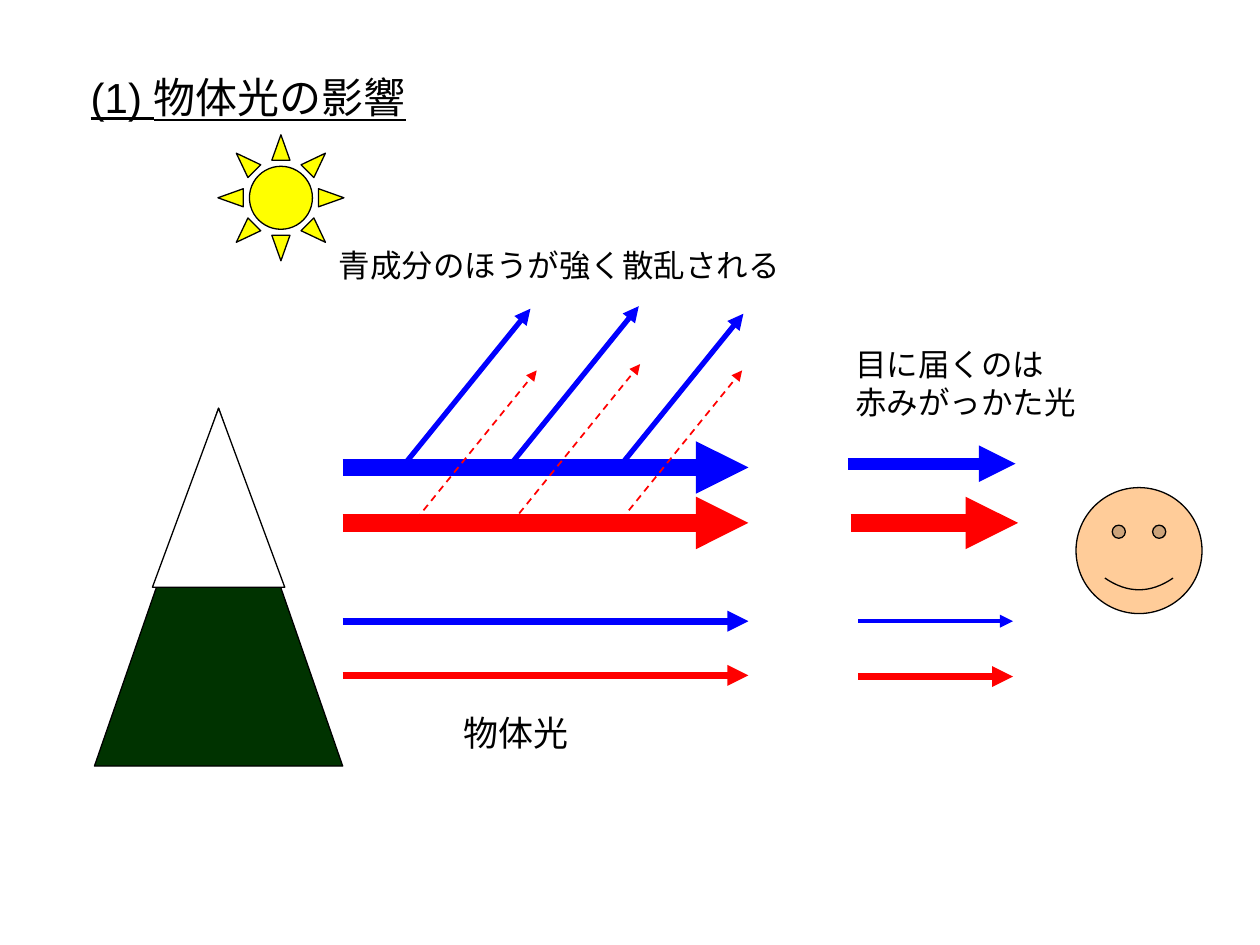
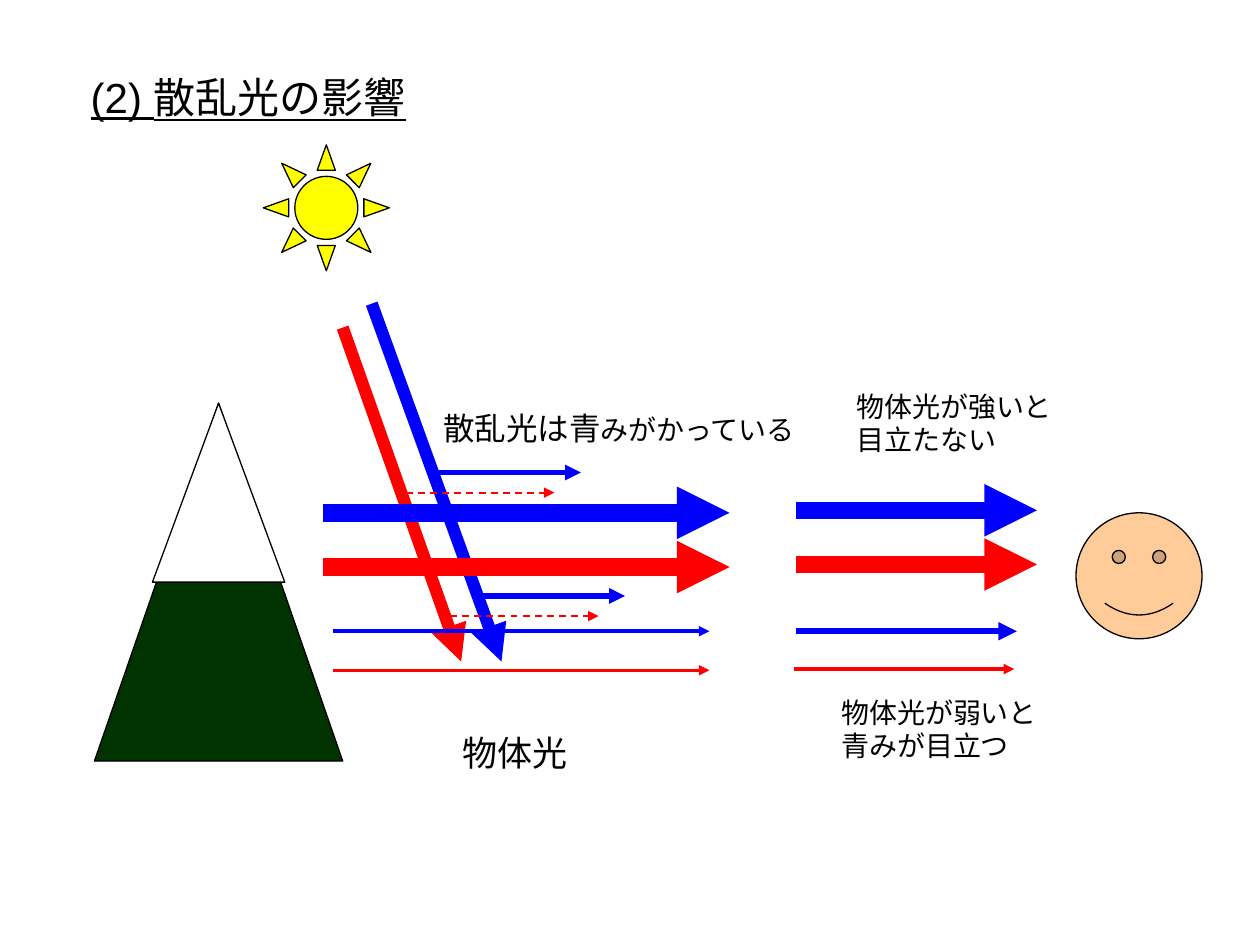
from lxml import etree
from pptx import Presentation
from pptx.dml.color import RGBColor
from pptx.enum import dml, shapes, text
from pptx.oxml import ns
from pptx.util import Inches, Pt

COLORS = {
    "ink": "000000", "blue": "0000FF", "red": "FF0000", "sun": "FFFF00",
    "skin": "FFCC99", "wood": "003300", "snow": "FFFFFF",
}
FONT = "Arial"
SHAPE = shapes.MSO_SHAPE


def color(name):
    return RGBColor.from_string(COLORS[name])


def write(par, words, size=18, under=None):
    """Add one formatted run to a paragraph."""
    run = par.add_run()
    run.text = words
    font = run.font
    font.name, font.size, font.underline = FONT, Pt(size), under
    font.color.rgb = color("ink")


class Scene:
    def __init__(self, deck):
        self.deck = deck
        self.slide = None

    def start(self, title):
        self.slide = self.deck.slides.add_slide(self.deck.slide_layouts[5])
        head = self.slide.shapes.title
        head.left, head.top = Inches(0.62), Inches(0.52)
        head.width, head.height = Inches(3), Inches(0.5)
        self.fill_text(head.text_frame, [[(title, 24)]], under=True)

    def fill_text(self, frame, lines, under=None):
        frame.word_wrap = False
        frame.auto_size = text.MSO_AUTO_SIZE.NONE
        frame.vertical_anchor = text.MSO_ANCHOR.TOP
        for i, line in enumerate(lines):
            par = frame.add_paragraph() if i else frame.paragraphs[0]
            par.alignment = text.PP_ALIGN.LEFT
            for words, size in line:
                write(par, words, size=size, under=under)

    def label(self, x, y, w, h, *lines):
        box = self.slide.shapes.add_textbox(
            Inches(x), Inches(y), Inches(w), Inches(h))
        self.fill_text(box.text_frame, lines)

    def shape(self, kind, x, y, w, h, fill):
        item = self.slide.shapes.add_shape(
            kind, Inches(x), Inches(y), Inches(w), Inches(h))
        item.shadow.inherit = False
        item.fill.solid()
        item.fill.fore_color.rgb = color(fill)
        item.line.color.rgb = color("ink")
        item.line.width = Pt(0.75)

    def arrow(self, x1, y1, x2, y2, hue, width, dash=False):
        item = self.slide.shapes.add_connector(
            shapes.MSO_CONNECTOR.STRAIGHT,
            Inches(x1), Inches(y1), Inches(x2), Inches(y2))
        line = item.line
        line.color.rgb = color(hue)
        line.width = Pt(width)
        if dash:
            line.dash_style = dml.MSO_LINE.DASH
        tip = etree.SubElement(line._get_or_add_ln(), ns.qn("a:tailEnd"))
        tip.set("type", "triangle")
        etree.SubElement(item._element.spPr, ns.qn("a:effectLst"))

    def beam(self, x1, x2, y, hue, width, dash=False):
        self.arrow(x1, y, x2, y, hue, width, dash)

    def pair(self, x1, x2, y, gap, width):
        """Blue beam with a red one below it."""
        self.beam(x1, x2, y, "blue", width)
        self.beam(x1, x2, y + gap, "red", width)

    def mountain(self, y):
        self.shape(SHAPE.ISOSCELES_TRIANGLE, 0.75, y, 1.97, 2.84, "wood")
        self.shape(SHAPE.ISOSCELES_TRIANGLE, 1.21, y, 1.05, 1.42, "snow")

    def viewer(self, y):
        self.shape(SHAPE.SMILEY_FACE, 8.54, y, 1, 1, "skin")

    def sun(self, x, y):
        self.shape(SHAPE.SUN, x, y, 1, 1, "sun")


def object_light(scene):
    scene.start("(1) 物体光の影響")
    scene.mountain(3.24)
    scene.viewer(3.87)
    scene.sun(1.73, 1.07)

    # Light from the snow
    scene.pair(2.72, 5.94, 3.71, 0.44, 10)
    scene.beam(6.75, 8.08, 4.15, "red", 10)
    scene.beam(6.73, 8.06, 3.68, "blue", 7)

    # Scattered light
    for x, y in ((3.19, 3.71), (4.05, 3.69), (4.88, 3.75)):
        scene.arrow(x, y, x + 1.02, y - 1.26, "blue", 3)
    for x, y in ((3.24, 4.2), (4.06, 4.15), (4.87, 4.2)):
        scene.arrow(x, y, x + 1.02, y - 1.26, "red", 1, dash=True)

    # Light from the forest
    scene.pair(2.72, 5.94, 4.93, 0.43, 4)
    scene.beam(6.81, 8.04, 4.93, "blue", 2.5)
    scene.beam(6.81, 8.04, 5.37, "red", 4)

    # Labels
    scene.label(2.59, 1.9, 3.7, 0.4, [("青成分のほうが強く散乱される", 18)])
    scene.label(3.58, 5.6, 1.03, 0.44, [("物体光", 20)])
    scene.label(6.69, 2.69, 1.95, 0.7,
                [("目に届くのは", 18)], [("赤みがっかた光", 18)])


def stray_light(scene):
    scene.start("(2) 散乱光の影響")
    scene.mountain(3.2)
    scene.viewer(4.07)
    scene.sun(2.09, 1.15)

    # Sunlight and the light it scatters
    scene.arrow(2.95, 2.41, 3.98, 5.25, "blue", 7)
    scene.arrow(2.72, 2.6, 3.66, 5.25, "red", 7)
    for dx, dy in ((0, 0), (0.35, 0.98)):
        scene.beam(3.43 + dx, 4.61 + dx, 3.75 + dy, "blue", 3)
        scene.beam(3.22 + dx, 4.4 + dx, 3.91 + dy, "red", 1, dash=True)

    # Light from the forest and the snow
    scene.pair(2.64, 5.63, 5.01, 0.31, 2)
    scene.pair(2.56, 5.79, 4.07, 0.43, 10)

    # Light that reaches the eye
    scene.pair(6.32, 8.23, 4.05, 0.43, 10)
    scene.beam(6.32, 8.07, 5.01, "blue", 3.5)
    scene.beam(6.3, 8.05, 5.31, "red", 2)

    # Labels
    scene.label(3.57, 5.76, 1.03, 0.44, [("物体光", 20)])
    scene.label(3.42, 3.2, 3, 0.4,
                [("散乱光は青", 18), ("みがかっている", 16)])
    scene.label(6.7, 3.04, 1.75, 0.64,
                [("物体光が強いと", 16)], [("目立たない", 16)])
    scene.label(6.58, 5.47, 1.75, 0.64,
                [("物体光が弱いと", 16)], [("青みが目立つ", 16)])


def main():
    deck = Presentation()
    deck.slide_width, deck.slide_height = Inches(10), Inches(7.5)
    scene = Scene(deck)
    object_light(scene)
    stray_light(scene)
    deck.save("out.pptx")


if __name__ == "__main__":
    main()
